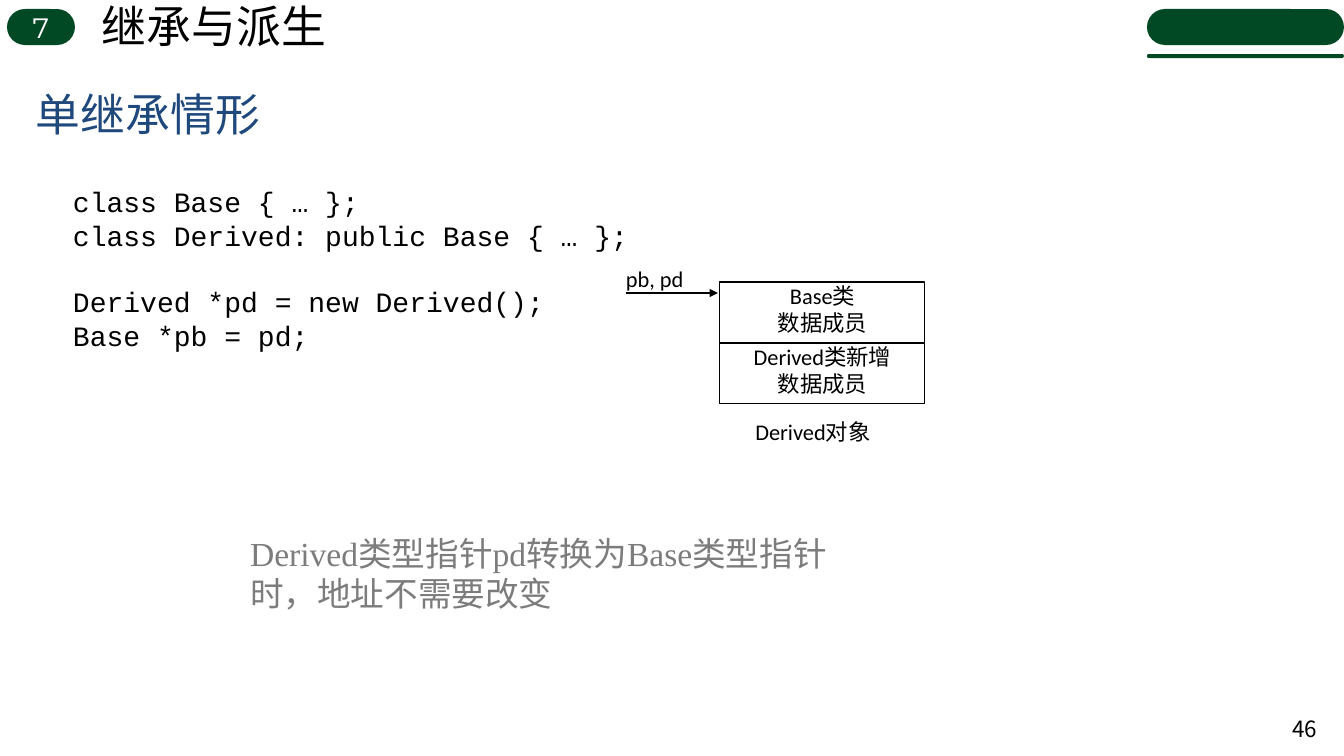
from lxml.etree import SubElement
from pptx import Presentation
from pptx.dml.color import RGBColor
from pptx.enum.shapes import MSO_CONNECTOR, MSO_SHAPE
from pptx.enum.text import MSO_ANCHOR, PP_ALIGN
from pptx.oxml.ns import qn
from pptx.util import Emu, Pt

EMU_PER_PX = 914400 / 100.8
GREEN, BLUE, GREY = "014924", "1F497D", "7C7C7C"
BLACK, WHITE = "000000", "FFFFFF"
CJK_FONT = "Noto Sans CJK SC"


def px(length):
    return Emu(round(length * EMU_PER_PX))


def rgb(color):
    return RGBColor.from_string(color)


class Deck:
    """Holds the style and the slide being drawn."""

    def __init__(self):
        self.file = Presentation()
        self.file.slide_width, self.file.slide_height = px(1344), px(756)
        self.slide = self.file.slides.add_slide(self.file.slide_layouts[5])

    def fill_text(self, shape, lines, size, font, color=BLACK,
                  align=PP_ALIGN.LEFT, anchor=MSO_ANCHOR.TOP, inset=(10, 5)):
        frame = shape.text_frame
        frame.word_wrap = True
        frame.vertical_anchor = anchor
        frame.margin_left = frame.margin_right = px(inset[0])
        frame.margin_top = frame.margin_bottom = px(inset[1])
        frame.text = "\n".join(lines)
        for paragraph in frame.paragraphs:
            paragraph.alignment = align
            for run in paragraph.runs:
                run.font.size = Pt(size)
                run.font.name = font
                run.font.color.rgb = rgb(color)
                SubElement(run.font._element, qn("a:ea"), typeface=CJK_FONT)
        return frame

    def title(self, box, line, **style):
        heading = self.slide.shapes.title
        heading.left, heading.top, heading.width, heading.height = map(px, box)
        self.fill_text(heading, [line], **style)

    def text(self, box, lines, **style):
        textbox = self.slide.shapes.add_textbox(*map(px, box))
        return self.fill_text(textbox, lines, **style)

    def block(self, kind, box, fill=None, line=None):
        shape = self.slide.shapes.add_shape(kind, *map(px, box))
        shape.shadow.inherit = False
        if fill:
            shape.fill.solid()
            shape.fill.fore_color.rgb = rgb(fill)
        else:
            shape.fill.background()
        if line:
            shape.line.color.rgb = rgb(line)
            shape.line.width = Pt(0.75)
        else:
            shape.line.fill.background()
        return shape

    def pill(self, box):
        shape = self.block(MSO_SHAPE.ROUNDED_RECTANGLE, box, fill=GREEN)
        shape.adjustments[0] = 0.5
        return shape

    def arrow(self, start, end):
        connector = self.slide.shapes.add_connector(
            MSO_CONNECTOR.STRAIGHT, *map(px, start + end))
        connector.line.color.rgb = rgb(BLACK)
        connector.line.width = Pt(0.75)
        outline = connector._element.spPr.find(qn("a:ln"))
        SubElement(outline, qn("a:tailEnd"), type="triangle")
        SubElement(connector._element.spPr, qn("a:effectLst"))


def main():
    deck = Deck()

    # Chapter header
    chapter_badge = deck.pill((7, 9, 68, 36))
    deck.fill_text(chapter_badge, ["7"], size=20, font="Montserrat", color=WHITE,
                   align=PP_ALIGN.CENTER, anchor=MSO_ANCHOR.MIDDLE)
    deck.text((92, -6, 250, 64), ["继承与派生"], size=32, font="Arial")
    for top, height in ((9, 36), (54, 4)):
        deck.pill((1147, top, 197, height))

    # Title and page number
    deck.title((26, 69, 907, 89), "单继承情形", size=32, font="Montserrat",
               color=BLUE, anchor=MSO_ANCHOR.MIDDLE)
    deck.text((1278, 709, 49, 40), ["46"], size=16, font=CJK_FONT,
              align=PP_ALIGN.RIGHT, anchor=MSO_ANCHOR.MIDDLE)

    # Code listing, with a gap before the pointer declarations
    code = deck.text((63, 180, 921, 516), [
        "class Base { … };",
        "class Derived: public Base { … };",
        "Derived *pd = new Derived();",
        "Base *pb = pd;",
    ], size=20, font="Courier New")
    code.paragraphs[2].space_before = Pt(23)

    # Memory layout of the Derived object
    label = dict(size=16, font="Calibri", inset=(0, 0))
    members_left, members_top, members_height = 720, 282, 61
    for row, owner in enumerate(("Base类", "Derived类新增")):
        members = deck.block(
            MSO_SHAPE.RECTANGLE,
            (members_left, members_top + row * members_height, 205, members_height),
            line=BLACK)
        deck.fill_text(members, [owner, "数据成员"], align=PP_ALIGN.CENTER, **label)
    deck.arrow((626, 293), (718, 293))
    deck.text((626, 265, 70, 36), ["pb, pd"], **label)
    deck.text((749, 418, 128, 32), ["Derived对象"], align=PP_ALIGN.CENTER, **label)

    # Conclusion
    deck.text((240, 528, 620, 92),
              ["Derived类型指针pd转换为Base类型指针", "时，地址不需要改变"],
              size=24, font="Times New Roman", color=GREY)

    deck.file.save("out.pptx")


if __name__ == "__main__":
    main()
